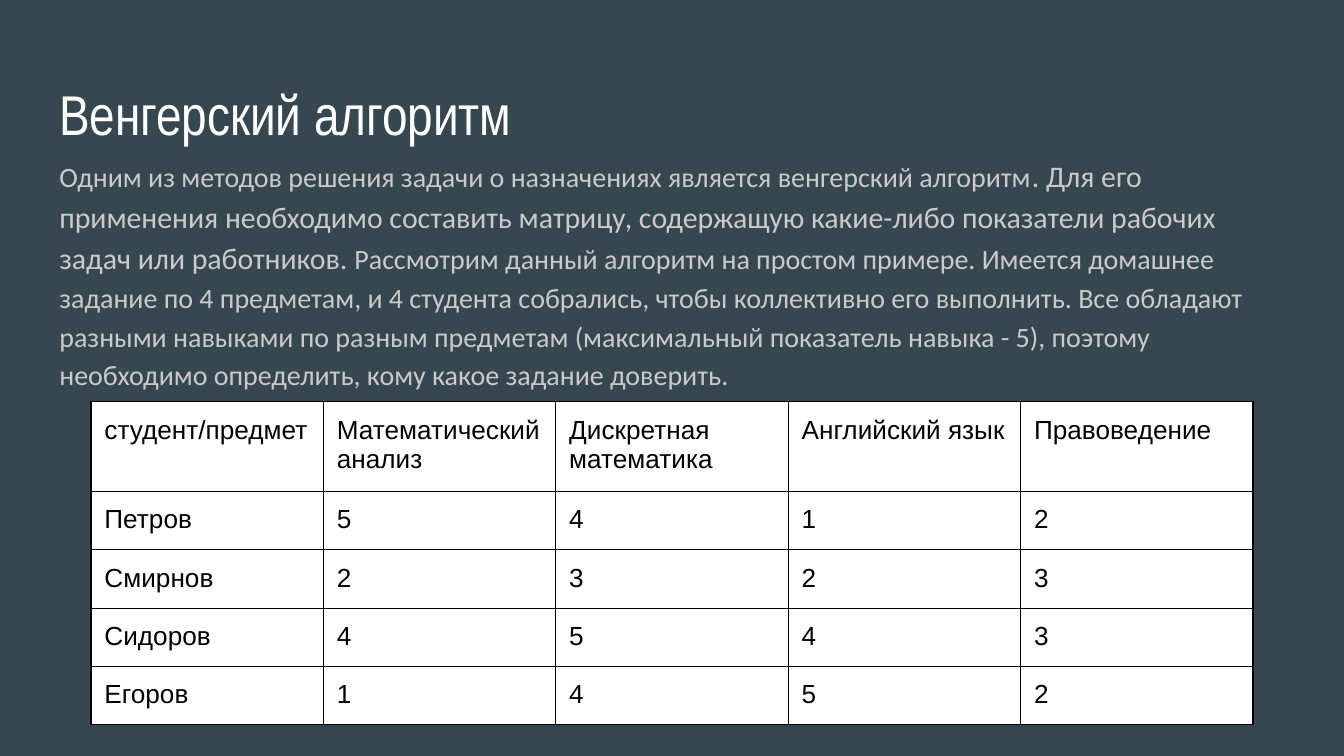
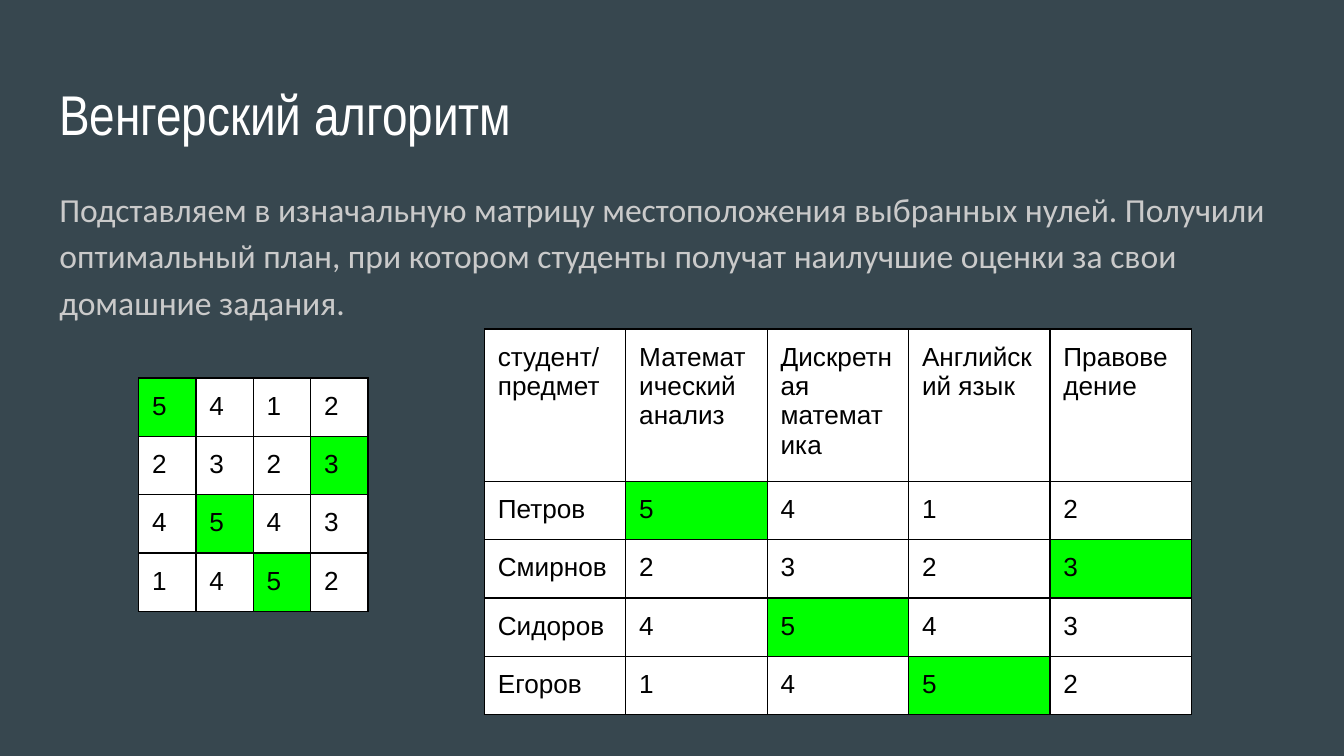
from pptx import Presentation
from pptx import util as u
from pptx.dml.color import RGBColor
from pptx.enum import text
from pptx.oxml.xmlchemy import OxmlElement

PX = 9525
SLATE = RGBColor(0x37, 0x47, 0x4F)
WHITE = RGBColor(0xFF, 0xFF, 0xFF)
GREY = RGBColor(0xCA, 0xCA, 0xCA)
BLACK = RGBColor(0x00, 0x00, 0x00)
GREEN = RGBColor(0x00, 0xFF, 0x00)
INSET = u.Inches(0.1)

TITLE = "Венгерский алгоритм"
SUBJECTS = ["Математический анализ", "Дискретная математика", "Английский язык", "Правоведение"]
STUDENTS = ["Петров", "Смирнов", "Сидоров", "Егоров"]
SCORES = [[5, 4, 1, 2], [2, 3, 2, 3], [4, 5, 4, 3], [1, 4, 5, 2]]
GRADES = [["студент/предмет"] + SUBJECTS] + [[n] + row for n, row in zip(STUDENTS, SCORES)]
PLAN = [(0, 0), (1, 3), (2, 1), (3, 2)]

METHOD = [
    ("Одним из методов решения задачи о назначениях является венгерский алгоритм", 15),
    (". Для его применения необходимо составить матрицу, содержащую какие-либо "
     "показатели рабочих задач или работников. ", 16),
    ("Рассмотрим данный алгоритм на простом примере. Имеется домашнее задание по 4 предметам, "
     "и 4 студента собрались, чтобы коллективно его выполнить. Все обладают разными навыками "
     "по разным предметам (максимальный показатель навыка - 5), поэтому необходимо определить, "
     "кому какое задание доверить.", 15),
]
RESULT = [
    ("Подставляем в изначальную матрицу местоположения выбранных нулей. Получили оптимальный "
     "план, при котором студенты получат наилучшие оценки за свои домашние задания.", 18),
]


def add_text(p, content, size=14, font="Arial", color=BLACK):
    r = p.add_run()
    r.text = content
    r.font.size = u.Pt(size)
    r.font.name = font
    r.font.color.rgb = color


def add_grid(s, rows, left, top, col_w, row_hs, chosen=(), right_edge=0.75):
    n = len(rows[0])
    sp = s.shapes.add_table(len(rows), n, left * PX, top * PX, n * col_w * PX, sum(row_hs) * PX)
    tbl = sp.table
    tbl.first_row = tbl.horz_banding = False
    for col in tbl.columns:
        col.width = col_w * PX
    for i, values in enumerate(rows):
        tbl.rows[i].height = row_hs[i] * PX
        for j, value in enumerate(values):
            cell = tbl.cell(i, j)
            cell.margin_left = cell.margin_right = INSET
            cell.margin_top = cell.margin_bottom = INSET
            add_text(cell.text_frame.paragraphs[0], str(value))
            tcPr = cell._tc.get_or_add_tcPr()
            for side in "LRTB":
                width = right_edge if side == "R" and j == n - 1 else 0.75
                ln = OxmlElement(f"a:ln{side}")
                ln.set("w", str(u.Pt(width)))
                fill = OxmlElement("a:solidFill")
                clr = OxmlElement("a:srgbClr")
                clr.set("val", str(BLACK))
                fill.append(clr)
                ln.append(fill)
                tcPr.append(ln)
            cell.fill.solid()
            cell.fill.fore_color.rgb = GREEN if (i, j) in chosen else WHITE


prs = Presentation()
prs.slide_width, prs.slide_height = 960 * PX, 540 * PX

slides = []
for body_top, body in [(99, METHOD), (121, RESULT)]:
    s = prs.slides.add_slide(prs.slide_layouts[6])
    s.background.fill.solid()
    s.background.fill.fore_color.rgb = SLATE
    blocks = [
        (47, 60, [(TITLE, 30)], "Arial Narrow", WHITE),
        (body_top, 359, body, "Calibri", GREY),
    ]
    for top, height, runs, font, color in blocks:
        sp = s.shapes.add_textbox(33 * PX, top * PX, 895 * PX, height * PX)
        tf = sp.text_frame
        tf.word_wrap = True
        tf.vertical_anchor = text.MSO_ANCHOR.TOP
        tf.margin_left = tf.margin_right = tf.margin_top = tf.margin_bottom = INSET
        p = tf.paragraphs[0]
        if runs is body:
            p.line_spacing = 1.15
            p.space_after = u.Pt(16)
        for content, size in runs:
            add_text(p, content, size=size, font=font, color=color)
    slides.append(s)

add_grid(slides[0], GRADES, 65, 287, 166, [40] * 5)
add_grid(slides[1], SCORES, 99, 270, 41, [40] * 4, chosen=PLAN, right_edge=1.5)
add_grid(slides[1], GRADES, 346, 235, 101, [42] + [28] * 4,
         chosen=[(i + 1, j + 1) for i, j in PLAN])

prs.save("out.pptx")
